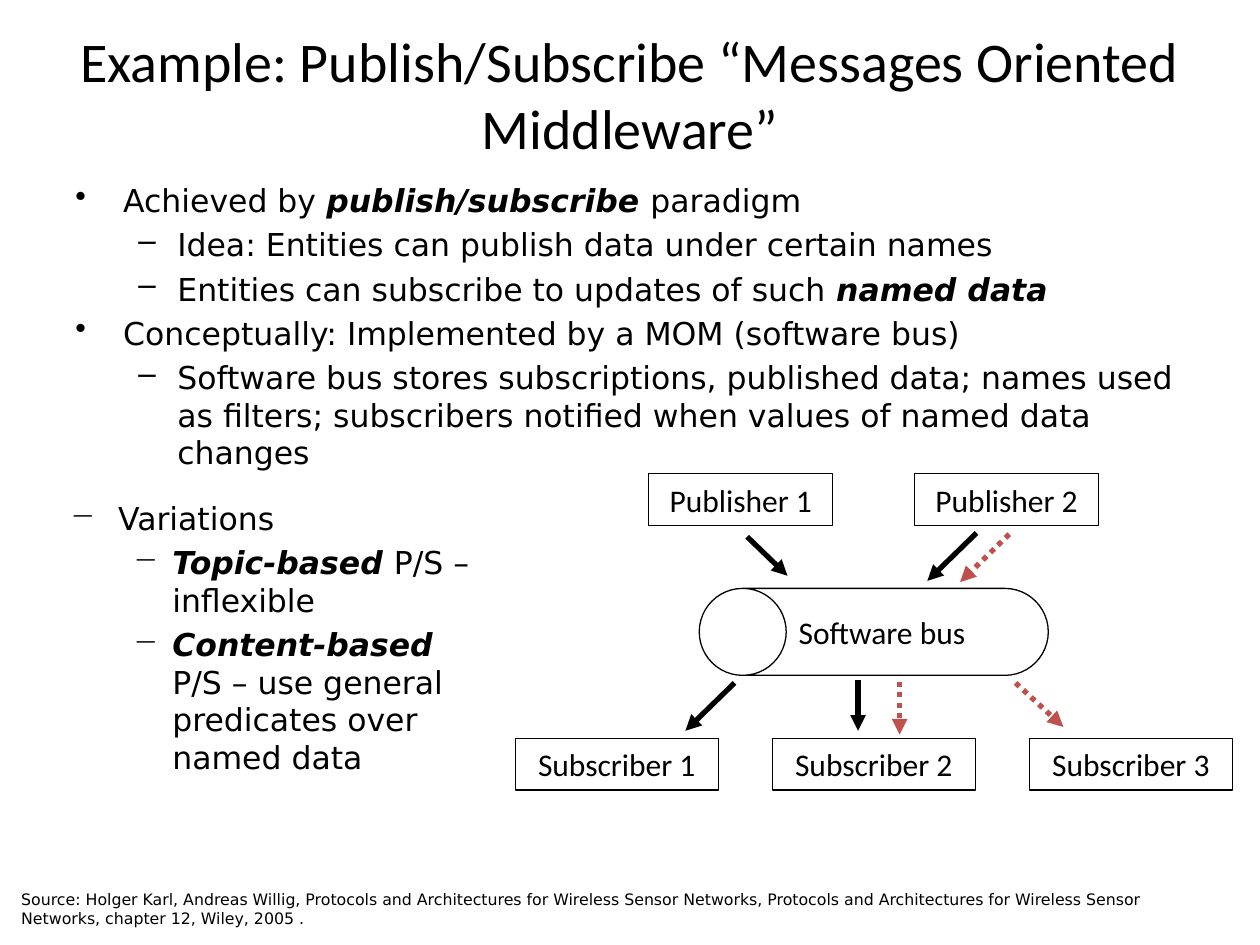
from lxml import etree
from pptx import Presentation, util as u
from pptx.dml.color import RGBColor
from pptx.enum import dml, shapes, text
from pptx.oxml import ns

PX = u.Inches(1) // 100
COLORS = {"ink": "000000", "accent": "C0504D"}
HEADING_FONT = "Calibri"
BODY_FONT = "DejaVu Sans"
INDENTS = ((38, -38), (81, -31))

MAIN_POINTS = [
    (0, "•", [("Achieved by ", False), ("publish/subscribe ", True), ("paradigm", False)]),
    (1, "–", [("Idea: Entities can publish data under certain names", False)]),
    (1, "–", [("Entities can subscribe to updates of such ", False), ("named data", True)]),
    (0, "•", [("Conceptually: Implemented by a MOM (software bus)", False)]),
    (1, "–", [("Software bus stores subscriptions, published data; names used as filters; "
               "subscribers notified when values of named data changes", False)]),
]
VARIATIONS = [
    (0, "−", [("Variations", False)]),
    (1, "−", [("Topic-based ", True), ("P/S – inflexible", False)]),
    (1, "−", [("Content-based ", True), ("P/S – use general predicates over named data", False)]),
]
DATA_ARROWS = [(593, 426, 625, 457), (583, 542, 544, 580),
               (681, 540, 681, 580), (775, 423, 736, 461)]
DOTTED_ARROWS = [(801, 424, 762, 462), (714, 541, 714, 583), (806, 542, 844, 577)]


def px(*lengths):
    return [length * PX for length in lengths]


def color(name):
    return RGBColor.from_string(COLORS[name])


def style_font(font, name, size):
    font.name = name
    font.size = u.Pt(size)
    font.color.rgb = color("ink")


def add_text(slide, box, content, name, size, centered=False):
    frame = slide.shapes.add_textbox(*px(*box)).text_frame
    frame.word_wrap = True
    frame.text = content
    paragraph = frame.paragraphs[0]
    if centered:
        frame.vertical_anchor = text.MSO_ANCHOR.MIDDLE
        paragraph.alignment = text.PP_ALIGN.CENTER
    style_font(paragraph.runs[0].font, name, size)


def set_bullet(paragraph, level, bullet):
    margin, indent = px(*INDENTS[level])
    properties = paragraph._p.get_or_add_pPr()
    properties.set("marL", str(margin))
    properties.set("indent", str(indent))
    etree.SubElement(properties, ns.qn("a:buChar")).set("char", bullet)
    paragraph.level = level


def add_bullets(slide, box, points):
    frame = slide.shapes.add_textbox(*px(*box)).text_frame
    frame.word_wrap = True
    for index, (level, bullet, pieces) in enumerate(points):
        paragraph = frame.add_paragraph() if index else frame.paragraphs[0]
        set_bullet(paragraph, level, bullet)
        if index:
            paragraph.space_before = u.Pt(3.6)
        for content, strong in pieces:
            run = paragraph.add_run()
            run.text = content
            style_font(run.font, BODY_FONT, 18)
            run.font.bold = run.font.italic = strong


def add_node(slide, preset, box, label):
    shape = slide.shapes.add_shape(preset, *px(*box))
    shape.shadow.inherit = False
    shape.fill.background()
    shape.line.color.rgb = color("ink")
    shape.line.width = u.Pt(0.75)
    frame = shape.text_frame
    frame.word_wrap = False
    frame.vertical_anchor = text.MSO_ANCHOR.MIDDLE
    frame.text = label
    paragraph = frame.paragraphs[0]
    paragraph.alignment = text.PP_ALIGN.CENTER
    style_font(paragraph.runs[0].font, HEADING_FONT, 18)
    return shape


def add_bus(slide):
    bus = add_node(slide, shapes.MSO_SHAPE.CAN, (659, 363, 69, 277), "Software bus")
    bus.rotation = 270
    bus.adjustments[0] = 1
    bus.text_frame._txBody.bodyPr.set("vert", "eaVert")


def add_arrow(slide, ends, color_name, dash=None):
    arrow = slide.shapes.add_connector(shapes.MSO_CONNECTOR.STRAIGHT, *px(*ends))
    arrow.line.color.rgb = color(color_name)
    arrow.line.width = u.Pt(3)
    if dash:
        arrow.line.dash_style = dash
    etree.SubElement(arrow.line._get_or_add_ln(), ns.qn("a:tailEnd")).set("type", "triangle")
    etree.SubElement(arrow._element.spPr, ns.qn("a:effectLst"))


def add_diagram(slide):
    add_bus(slide)
    for index in range(2):
        add_node(slide, shapes.MSO_SHAPE.RECTANGLE,
                 (515 + 211 * index, 376, 146, 41), f"Publisher {index + 1}")
    for index in range(3):
        add_node(slide, shapes.MSO_SHAPE.RECTANGLE,
                 (409 + 204 * index, 586, 161, 41), f"Subscriber {index + 1}")
    for ends in DATA_ARROWS:
        add_arrow(slide, ends, "ink")
    for ends in DOTTED_ARROWS:
        add_arrow(slide, ends, "accent", dml.MSO_LINE.ROUND_DOT)


def main():
    presentation = Presentation()
    presentation.slide_width, presentation.slide_height = px(1000, 750)
    slide = presentation.slides.add_slide(presentation.slide_layouts[6])
    add_text(slide, (50, 12, 900, 125),
             "Example: Publish/Subscribe “Messages Oriented Middleware”",
             HEADING_FONT, 32, centered=True)
    add_bullets(slide, (50, 139, 900, 303), MAIN_POINTS)
    add_diagram(slide)
    add_bullets(slide, (46, 391, 354, 317), VARIATIONS)
    add_text(slide, (7, 701, 958, 55),
             "Source: Holger Karl, Andreas Willig, Protocols and Architectures for Wireless "
             "Sensor Networks, Protocols and Architectures for Wireless Sensor Networks, "
             "chapter 12, Wiley, 2005 .", BODY_FONT, 9)
    presentation.save("out.pptx")


if __name__ == "__main__":
    main()
